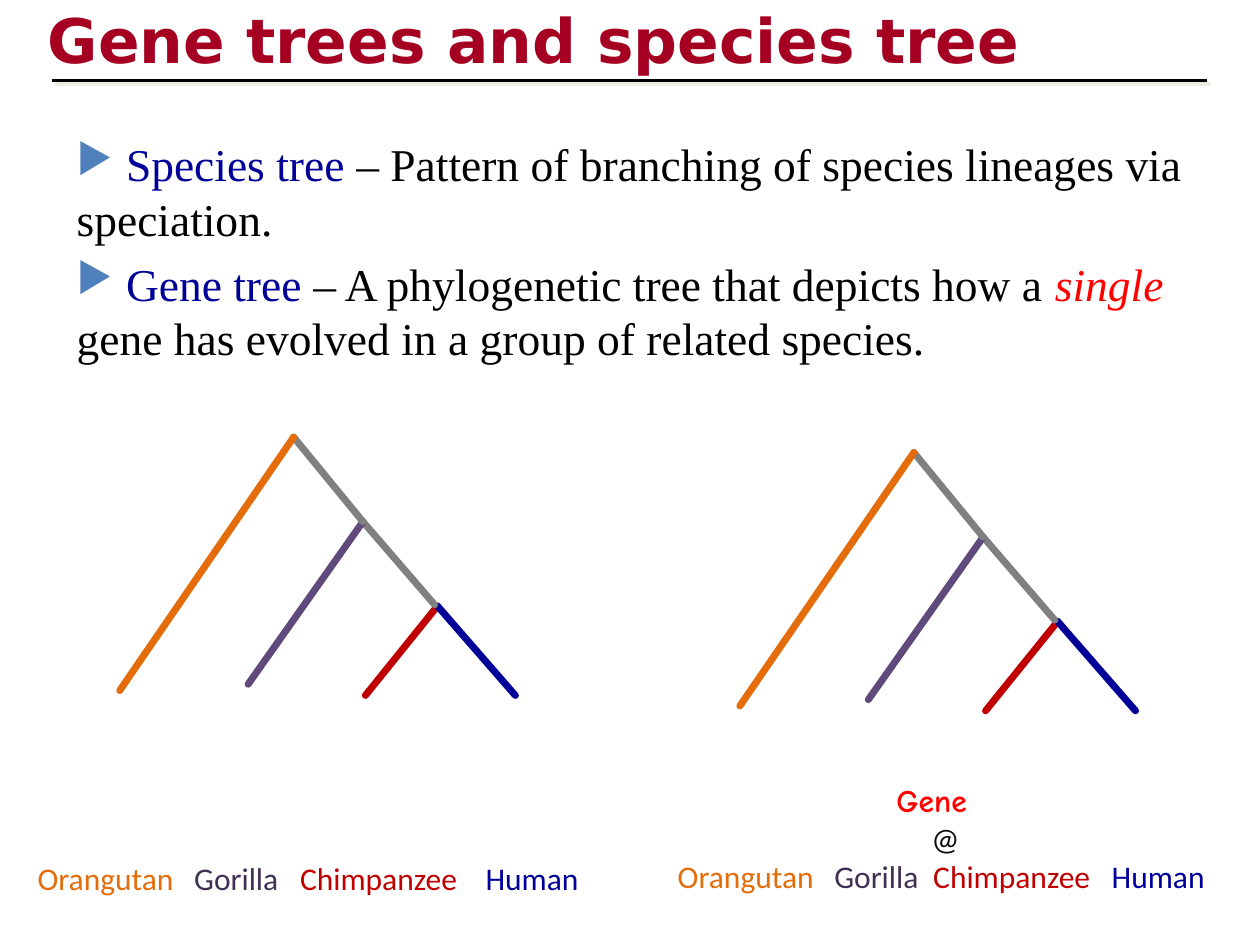
import pptx
import pptx.util
import pptx.dml.color
import pptx.enum.shapes
import pptx.enum.text
import pptx.oxml
import pptx.oxml.ns

Pt = pptx.util.Pt
RGBColor = pptx.dml.color.RGBColor

BLACK = RGBColor(0x00, 0x00, 0x00)
CRIMSON = RGBColor(0xA5, 0x00, 0x21)
NAVY = RGBColor(0x00, 0x00, 0x99)
RED = RGBColor(0xFF, 0x00, 0x00)
ORANGE = RGBColor(0xE4, 0x6C, 0x0A)
PLUM = RGBColor(0x40, 0x31, 0x52)
PURPLE = RGBColor(0x60, 0x4A, 0x7B)
DARK_RED = RGBColor(0xC0, 0x00, 0x00)
GRAY = RGBColor(0x80, 0x80, 0x80)
CHARCOAL = RGBColor(0x0D, 0x0D, 0x0D)
BULLET_BLUE = RGBColor(0x4F, 0x81, 0xBD)
SHADOW = RGBColor(0xEE, 0xEC, 0xE1)

SPECIES = [("Orangutan", ORANGE), ("Gorilla", PLUM),
           ("Chimpanzee", DARK_RED), ("Human", NAVY)]
BRANCHES = [
    ((208.8, 397.4), (250, 346.3), DARK_RED),
    ((294.5, 397.4), (250, 346.3), NAVY),
    ((248.4, 345.6), (207.4, 298.1), GRAY),
    ((141.8, 391), (207.4, 298.1), PURPLE),
    ((207.4, 298.1), (167.8, 249.8), GRAY),
    ((68.4, 394.6), (167.8, 249.8), ORANGE),
]


def add_xml(parent, tag, body="", attrs=""):
    """Append a DrawingML element to parent."""
    ns = pptx.oxml.ns.nsdecls("a")
    parent.append(pptx.oxml.parse_xml(f"<a:{tag} {ns} {attrs}>{body}</a:{tag}>"))


def add_shadow(parent):
    """Append a pale shadow falling to the lower right."""
    add_xml(parent, "effectLst",
            '<a:outerShdw dist="35560" dir="2700000" algn="ctr" rotWithShape="0">'
            f'<a:srgbClr val="{SHADOW}"/></a:outerShdw>')


def add_line(s, start, end, color, width):
    """Draw a straight line and return its connector."""
    line = s.shapes.add_connector(
        pptx.enum.shapes.MSO_CONNECTOR.STRAIGHT,
        *(Pt(v) for v in (*start, *end)))
    line.line.color.rgb = color
    line.line.width = Pt(width)
    return line


def add_tree(s, dx=0, dy=0):
    """Draw the four-species tree shifted by dx and dy."""
    for (x1, y1), (x2, y2), color in BRANCHES:
        line = add_line(s, (x1 + dx, y1 + dy), (x2 + dx, y2 + dy), color, 4)
        line.line._get_or_add_ln().set("cap", "rnd")
        add_xml(line._element.spPr, "effectLst")


def add_text_box(s, left, top, width, height):
    """Add a wrapping text box and return its frame."""
    tf = s.shapes.add_textbox(Pt(left), Pt(top), Pt(width), Pt(height)).text_frame
    tf.word_wrap = True
    return tf


def add_run(p, text, color):
    """Add a coloured run to a paragraph."""
    r = p.add_run()
    r.text = text
    r.font.color.rgb = color
    return r


def set_font(p, name, size):
    """Set the typeface and size of a paragraph."""
    p.font.name = name
    p.font.size = Pt(size)


def add_title(s, text):
    """Place the shadowed title and the rule below it."""
    title = s.shapes.title
    title.left, title.top = Pt(20.2), Pt(-2)
    title.width, title.height = Pt(612), Pt(48)
    tf = title.text_frame
    tf.auto_size = pptx.enum.text.MSO_AUTO_SIZE.NONE
    tf.vertical_anchor = pptx.enum.text.MSO_ANCHOR.MIDDLE
    p = tf.paragraphs[0]
    p.alignment = pptx.enum.text.PP_ALIGN.LEFT
    set_font(p, "DejaVu Sans", 35.1)
    p.font.bold = True
    r = add_run(p, text, CRIMSON)
    add_shadow(r.font._element)
    add_shadow(add_line(s, (29.5, 46), (690, 46), BLACK, 2.25)._element.spPr)


def add_definition(p, *parts):
    """Fill a bulleted paragraph with coloured parts."""
    pPr = p._p.get_or_add_pPr()
    add_xml(pPr, "buClr", f'<a:srgbClr val="{BULLET_BLUE}"/>')
    add_xml(pPr, "buSzPct", attrs='val="90000"')
    add_xml(pPr, "buChar", attrs='char="▶"')
    set_font(p, "Times New Roman", 26)
    for text, color in parts:
        add_run(p, text, color).font.italic = color == RED


def add_species(p, stops):
    """Write the species names at tab stops."""
    tabs = "".join(f'<a:tab pos="{Pt(x)}" algn="l"/>' for x in stops)
    add_xml(p._p.get_or_add_pPr(), "tabLst", tabs)
    set_font(p, "Calibri", 18)
    for i, (name, color) in enumerate(SPECIES):
        add_run(p, "\t" + name if i else name, color)


def add_indented(p, text, indent, font, color):
    """Write one word at a left indent."""
    p._p.get_or_add_pPr().set("marL", str(Pt(indent)))
    set_font(p, font, 18)
    return add_run(p, text, color)


def main():
    """Build the slide."""
    prs = pptx.Presentation()
    prs.slide_width, prs.slide_height = Pt(720), Pt(540)
    s = prs.slides.add_slide(prs.slide_layouts[5])
    add_title(s, "Gene trees and species tree")

    tf = add_text_box(s, 36.7, 74.2, 655, 140)
    add_definition(
        tf.paragraphs[0], (" Species tree ", NAVY),
        ("– Pattern of branching of species lineages via speciation.", BLACK))
    p = tf.add_paragraph()
    p.space_before = Pt(6)
    add_definition(
        p, (" Gene tree ", NAVY),
        ("– A phylogenetic tree that depicts how a ", BLACK), ("single ", RED),
        ("gene has evolved in a group of related species.", BLACK))

    tf = add_text_box(s, 380.2, 442.8, 335, 73)
    add_indented(tf.paragraphs[0], "Gene", 125, "Comic Neue", RED).font.bold = True
    add_indented(tf.add_paragraph(), "@", 145, "Calibri", CHARCOAL)
    add_species(tf.add_paragraph(), (89.5, 146, 248))
    add_tree(s)

    tf = add_text_box(s, 14.4, 487.4, 335, 29)
    add_species(tf.paragraphs[0], (89.5, 150, 256))
    add_tree(s, 354.4, 8.8)

    prs.save("out.pptx")


if __name__ == "__main__":
    main()
